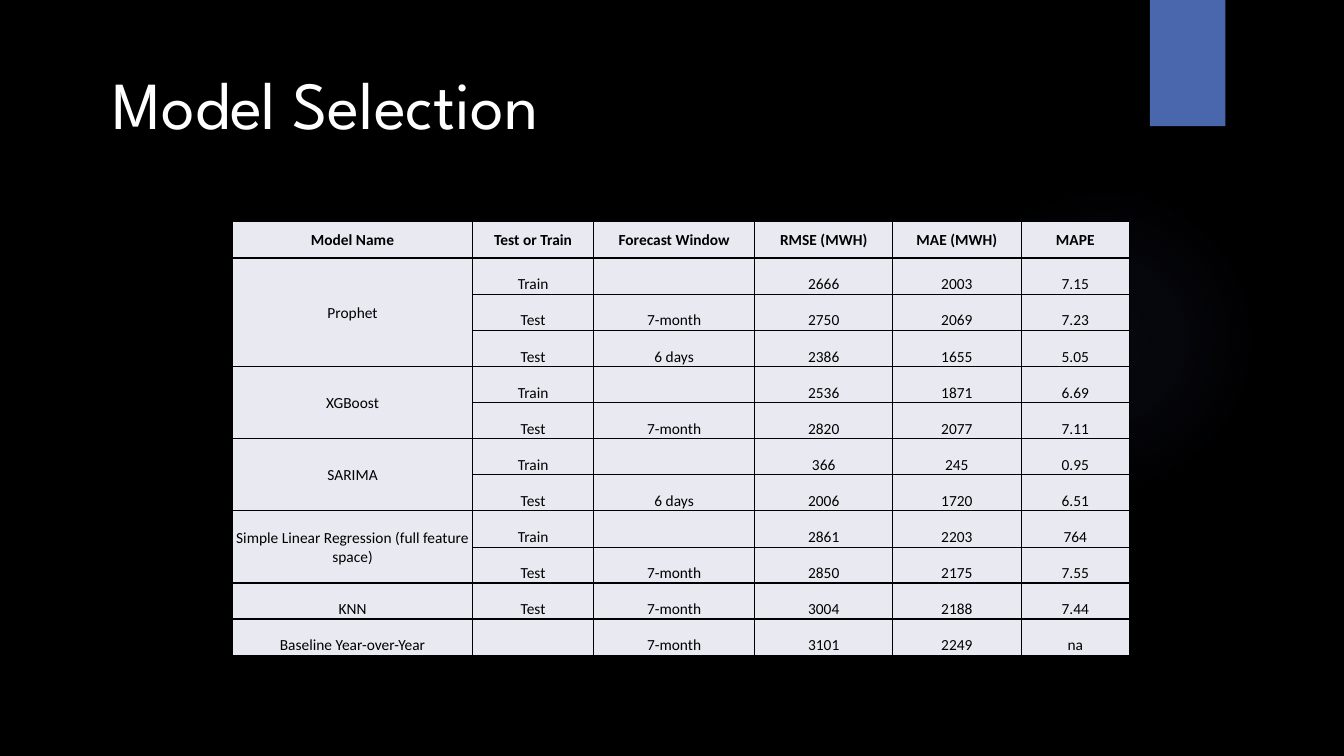
from lxml import etree
from pptx import Presentation
from pptx import util as u
from pptx.dml.color import RGBColor
from pptx.enum import shapes, text
from pptx.oxml import ns, parse_xml

NS = ns.nsdecls("a")


def rgb(code):
    return RGBColor.from_string(code)


class Deck:
    """Holds the style and the current slide."""
    ink, back, cell, bar = "000000", "000000", "E9EAF1", "4A66AC"
    glow, light = "5C64B7", "FFFFFF"
    head, body = "League Spartan", "Calibri"

    def __init__(self):
        self.prs = Presentation()
        self.prs.slide_width, self.prs.slide_height = u.Cm(33.87), u.Cm(19.05)
        self.slide = self.prs.slides.add_slide(self.prs.slide_layouts[0])
        fill = self.slide.background.fill
        fill.solid()
        fill.fore_color.rgb = rgb(self.back)
        sub = self.slide.placeholders[1].element
        sub.getparent().remove(sub)

    def font(self, para, name, size, color, bold=False):
        font = para.font
        font.name, font.size, font.bold = name, u.Pt(size), bold
        font.color.rgb = rgb(color)

    def title(self, words, *box):
        item = self.slide.shapes.title
        item.left, item.top, item.width, item.height = map(u.Cm, box)
        frame = item.text_frame
        frame.text = words
        frame.vertical_anchor = text.MSO_ANCHOR.TOP
        para = frame.paragraphs[0]
        para.alignment = text.PP_ALIGN.LEFT
        self.font(para, self.head, 48, self.light)

    def shape(self, kind, color, *box):
        item = self.slide.shapes.add_shape(kind, *map(u.Cm, box))
        item.shadow.inherit = False
        item.line.fill.background()
        item.fill.solid()
        item.fill.fore_color.rgb = rgb(color)
        self.slide.shapes.title.element.addprevious(item.element)
        return item

    def halo(self, *box):
        item = self.shape(shapes.MSO_SHAPE.OVAL, self.glow, *box)
        stops = "".join(
            f'<a:gs pos="{pos}000"><a:srgbClr val="{self.glow}">'
            f'<a:alpha val="{alpha}000"/></a:srgbClr></a:gs>'
            for pos, alpha in ((0, 7), (36, 6), (69, 0), (100, 0)))
        grad = parse_xml(
            f'<a:gradFill {NS}><a:gsLst>{stops}</a:gsLst><a:path path="circle">'
            '<a:fillToRect l="50000" t="50000" r="50000" b="50000"/>'
            '</a:path></a:gradFill>')
        solid = item.element.spPr.find(ns.qn("a:solidFill"))
        solid.getparent().replace(solid, grad)

    def edges(self, cell, **widths):
        props = cell._tc.get_or_add_tcPr()
        for side in "LRTB":
            line = etree.SubElement(props, ns.qn(f"a:ln{side}"),
                                    w=str(u.Pt(widths[side])))
            fill = etree.SubElement(line, ns.qn("a:solidFill"))
            etree.SubElement(fill, ns.qn("a:srgbClr"), val=self.ink)

    def table(self, rows, cols, high, left, top):
        count, last = len(rows), len(cols) - 1
        grid = self.slide.shapes.add_table(
            count, len(cols), u.Cm(left), u.Cm(top),
            u.Cm(sum(cols)), u.Cm(high * count)).table
        grid.first_row = grid.horz_banding = False
        for col, width in zip(grid.columns, cols):
            col.width = u.Cm(width)
        for row in grid.rows:
            row.height = u.Cm(high)

        # A named row opens a group; groups are parted by thicker lines
        starts = [i for i, row in enumerate(rows) if row[0]] + [count]
        spans = {a: b - a for a, b in zip(starts, starts[1:])}
        for r, row in enumerate(rows):
            for c, words in enumerate(row):
                cell = grid.cell(r, c)
                self.edges(cell, L=0.5 if c else 1, R=1 if c == last else 0.5,
                           T=1 if r in starts else 0.5,
                           B=1 if r + 1 in starts else 0.5)
                cell.fill.solid()
                cell.fill.fore_color.rgb = rgb(self.cell)
                cell.margin_left = cell.margin_right = cell.margin_top = u.Cm(0.03)
                cell.margin_bottom = 0
                tall = c == 0 and spans.get(r, 1) > 1
                cell.vertical_anchor = (text.MSO_ANCHOR.MIDDLE if r == 0 or tall
                                        else text.MSO_ANCHOR.BOTTOM)
                cell.text = words
                para = cell.text_frame.paragraphs[0]
                para.alignment = text.PP_ALIGN.CENTER
                self.font(para, self.body, 11, self.ink, r == 0)
        for start, span in spans.items():
            if span > 1:
                grid.cell(start, 0).merge(grid.cell(start + span - 1, 0))


MODELS = [
    ("Model Name", "Test or Train", "Forecast Window", "RMSE (MWH)", "MAE (MWH)", "MAPE"),
    ("Prophet", "Train", "", "2666", "2003", "7.15"),
    ("", "Test", "7-month", "2750", "2069", "7.23"),
    ("", "Test", "6 days", "2386", "1655", "5.05"),
    ("XGBoost", "Train", "", "2536", "1871", "6.69"),
    ("", "Test", "7-month", "2820", "2077", "7.11"),
    ("SARIMA", "Train", "", "366", "245", "0.95"),
    ("", "Test", "6 days", "2006", "1720", "6.51"),
    ("Simple Linear Regression (full feature space)", "Train", "", "2861", "2203", "764"),
    ("", "Test", "7-month", "2850", "2175", "7.55"),
    ("KNN", "Test", "7-month", "3004", "2188", "7.44"),
    ("Baseline Year-over-Year", "", "7-month", "3101", "2249", "na"),
]


def main():
    deck = Deck()
    # Backdrop
    deck.halo(23.9, 4.65, 7.82, 7.82)
    deck.shape(shapes.MSO_SHAPE.RECTANGLE, deck.bar, 28.98, 0, 1.9, 3.18)
    # Heading
    deck.title("Model Selection", 2.59, 1.45, 26.92, 4.32)
    # Model scores
    deck.table(MODELS, (6.05, 3.05, 4.06, 3.48, 3.23, 2.74), 0.91, 5.86, 5.59)
    deck.prs.save("out.pptx")


if __name__ == "__main__":
    main()
